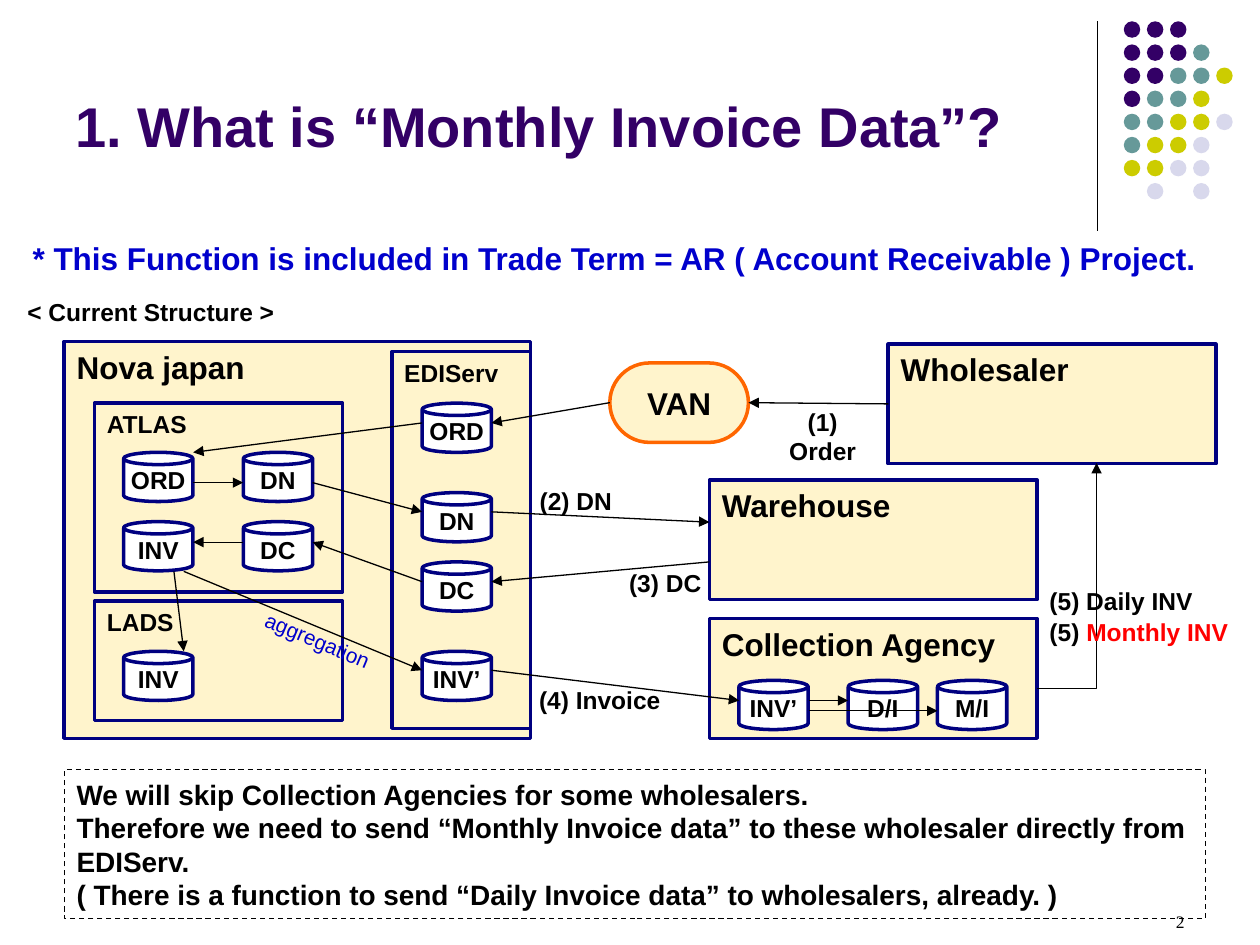
from lxml.etree import SubElement
from pptx import Presentation
from pptx.dml.color import RGBColor
from pptx.enum.dml import MSO_LINE
from pptx.enum.shapes import MSO_CONNECTOR, MSO_SHAPE
from pptx.enum.text import MSO_ANCHOR, PP_ALIGN
from pptx.oxml.ns import qn
from pptx.util import Pt

BLACK, NAVY, BLUE, RED = "000000", "000080", "0000CC", "FF0000"
PURPLE, ORANGE, AMBER, WHITE = "330066", "FF6600", "FFCC00", "FFFFFF"
LEFT, CENTER, RIGHT = PP_ALIGN.LEFT, PP_ALIGN.CENTER, PP_ALIGN.RIGHT
TOP, MIDDLE = MSO_ANCHOR.TOP, MSO_ANCHOR.MIDDLE

# Decorative dots: one letter per colour, a space for a gap
DOT_ROWS = ["PPP", "PPPT", "PPTTY", "PTTY", "TTYYL", "TYYL", "YYLL", " L L"]
DOT_COLORS = {"P": PURPLE, "T": "669999", "Y": "CCCC00", "L": "D8D8EC"}
DOT_LEFT, DOT_TOP, DOT_PITCH, DOT_SIZE = 642.2, 12.2, 13.2, 9.4

# Boxes: name, left, top, width, height, text size, fill
BOXES = [
    ("Nova japan", 36.7, 195.1, 266.4, 226.8, 18, AMBER),
    ("Warehouse", 405.4, 274.3, 187.2, 68.4, 18, AMBER),
    ("Collection Agency", 405.4, 353.5, 187.2, 68.4, 18, AMBER),
    ("Wholesaler", 507.6, 196.6, 187.2, 68.4, 18, AMBER),
    ("EDIServ", 223.9, 200.9, 79.2, 215.3, 14, None),
    ("ATLAS", 54, 230.4, 141.8, 108, 14, None),
    ("LADS", 54, 343.4, 141.8, 68.4, 14, None),
]

# Data stores: name, left, top
STORE_WIDTH, STORE_HEIGHT = 39.6, 28.1
STORES = [
    ("ORD", 70.6, 258.5), ("DN", 139, 258.5), ("INV", 70.6, 298.1),
    ("DC", 139, 298.1), ("INV", 70.6, 372.2), ("ORD", 241.2, 230.4),
    ("DN", 241.2, 281.5), ("DC", 241.2, 321.1), ("INV’", 241.2, 372.2),
    ("INV’", 422.2, 388.8), ("D/I", 484.7, 388.8), ("M/I", 535.7, 388.8),
]

# Arrows between stores and boxes: start x, start y, end x, end y
ARROWS = [
    (241.2, 241.7, 110.4, 258.5), (110.4, 275.8, 139, 275.8),
    (178.6, 275.8, 241.2, 292.5), (280.8, 292.5, 405.4, 298.4),
    (405.4, 321.1, 280.8, 332.4), (241.2, 332.4, 178.6, 309.8),
    (139, 309.8, 110.4, 309.8), (99.4, 326.5, 105, 372.2),
    (105, 326.5, 241.2, 383), (280.8, 383, 422.4, 400.3),
    (462.2, 400.3, 484.7, 400.3), (462.2, 406.2, 535.7, 406.2),
]
INVOICE_ROUTE = [(592.6, 393.6), (626.6, 393.6), (626.6, 264.6)]

# Labels: runs (text, colour), left, top, width, height, size, bold, align, rotation
LABELS = [
    ([("* This Function is included in Trade Term = AR ( Account Receivable ) Project.", BLUE)],
     11.5, 133.2, 694.8, 28.8, 18, True, LEFT, 0),
    ([("< Current Structure >", BLACK)], 8.6, 166.3, 204.5, 24.5, 14, True, LEFT, 0),
    ([("(1) Order", BLACK)], 433.4, 229, 73.4, 24.5, 14, True, CENTER, 0),
    ([("(2) DN", BLACK)], 292.3, 274.3, 73.4, 24.5, 14, True, CENTER, 0),
    ([("(3) DC", BLACK)], 343.4, 321.1, 73.4, 24.5, 14, True, CENTER, 0),
    ([("(4) Invoice", BLACK)], 297.4, 388.1, 90.7, 24.5, 14, True, CENTER, 0),
    ([("(5) Daily INV", BLACK)], 592.6, 331.2, 118.8, 24.5, 14, True, LEFT, 0),
    ([("(5)", BLACK), (" Monthly INV", RED)], 592.6, 349.2, 118.8, 24.5, 14, True, LEFT, 0),
    ([("aggregation", BLUE)], 139, 355, 85, 21.6, 12, False, CENTER, 22.8),
]
TITLE = "1. What is “Monthly Invoice Data”?"
NOTE = [
    "We will skip Collection Agencies for some wholesalers.",
    "Therefore we need to send “Monthly Invoice data” to these wholesaler directly from EDIServ.",
    "( There is a function to send “Daily Invoice data” to wholesalers, already. )",
]


def color(hex_string):
    return RGBColor.from_string(hex_string)


def format_text(shape, size, text_color=BLACK, bold=True, align=LEFT,
                anchor=TOP, wrap=True, font_name="Arial"):
    shape.text_frame.word_wrap = wrap
    shape.text_frame.vertical_anchor = anchor
    for paragraph in shape.text_frame.paragraphs:
        paragraph.alignment = align
        for run in paragraph.runs:
            run.font.name = font_name
            run.font.size = Pt(size)
            run.font.bold = bold
            run.font.color.rgb = color(text_color)


def style_shape(shape, fill=None, alpha=None, line=None, line_width=2):
    shape.shadow.inherit = False
    if fill:
        shape.fill.solid()
        shape.fill.fore_color.rgb = color(fill)
        if alpha:
            tone = shape._element.spPr.find(qn("a:solidFill")).find(qn("a:srgbClr"))
            SubElement(tone, qn("a:alpha"), val=str(alpha * 1000))
    else:
        shape.fill.background()
    if line:
        shape.line.color.rgb = color(line)
        shape.line.width = Pt(line_width)
    else:
        shape.line.fill.background()


def add_shape(slide, kind, left, top, width, height, **style):
    shape = slide.shapes.add_shape(kind, Pt(left), Pt(top), Pt(width), Pt(height))
    style_shape(shape, **style)
    return shape


def add_text(slide, left, top, width, height):
    return slide.shapes.add_textbox(Pt(left), Pt(top), Pt(width), Pt(height))


def add_arrowhead(shape):
    SubElement(shape._element.spPr.find(qn("a:ln")), qn("a:tailEnd"), type="triangle")


def add_line(slide, *ends, arrow=True):
    connector = slide.shapes.add_connector(MSO_CONNECTOR.STRAIGHT, *map(Pt, ends))
    connector.line.color.rgb = color(BLACK)
    connector.line.width = Pt(0.75)
    SubElement(connector._element.spPr, qn("a:effectLst"))
    if arrow:
        add_arrowhead(connector)
    return connector


def main():
    presentation = Presentation()
    presentation.slide_width, presentation.slide_height = Pt(720), Pt(540)
    slide = presentation.slides.add_slide(presentation.slide_layouts[6])

    # Corner decoration
    add_line(slide, 627.1, 12.2, 627.1, 131.8, arrow=False)
    for row, letters in enumerate(DOT_ROWS):
        for column, letter in enumerate(letters):
            if letter in DOT_COLORS:
                add_shape(slide, MSO_SHAPE.OVAL, DOT_LEFT + column * DOT_PITCH,
                          DOT_TOP + row * DOT_PITCH, DOT_SIZE, DOT_SIZE,
                          fill=DOT_COLORS[letter])

    # Title
    title = add_text(slide, 36, 31.7, 594, 79.9)
    title.text_frame.text = TITLE
    format_text(title, 32, PURPLE, anchor=MIDDLE)

    # System boxes
    boxes = {}
    for name, left, top, width, height, size, fill in BOXES:
        box = add_shape(slide, MSO_SHAPE.RECTANGLE, left, top, width, height,
                        fill=fill, alpha=20, line=NAVY)
        box.text_frame.text = name
        format_text(box, size)
        boxes[name] = box
    van = add_shape(slide, MSO_SHAPE.ROUNDED_RECTANGLE, 348.5, 207.4, 79.2, 45.4,
                    fill=AMBER, alpha=20, line=ORANGE)
    van.adjustments[0] = 0.5
    van.text_frame.text = "VAN"
    format_text(van, 18, align=CENTER, anchor=MIDDLE, wrap=False)

    # Data stores
    for name, left, top in STORES:
        store = add_shape(slide, MSO_SHAPE.CAN, left, top, STORE_WIDTH, STORE_HEIGHT,
                          fill=WHITE, line=NAVY)
        store.text_frame.text = name
        format_text(store, 14, align=CENTER, anchor=MIDDLE, wrap=False)

    # Arrows
    for arrow in ARROWS:
        add_line(slide, *arrow)
    order = add_line(slide, 507.6, 230.4, 427.7, 230.4)
    order.begin_connect(boxes["Wholesaler"], 1)
    order.end_connect(van, 3)
    add_line(slide, 348.5, 230.4, 280.8, 241.7).begin_connect(van, 1)
    start, *corners = [(Pt(x), Pt(y)) for x, y in INVOICE_ROUTE]
    builder = slide.shapes.build_freeform(*start)
    builder.add_line_segments(corners, close=False)
    route = builder.convert_to_shape()
    style_shape(route, line=BLACK, line_width=0.75)
    add_arrowhead(route)

    # Labels
    for runs, left, top, width, height, size, bold, align, rotation in LABELS:
        label = add_text(slide, left, top, width, height)
        label.rotation = rotation
        paragraph = label.text_frame.paragraphs[0]
        for text, _ in runs:
            paragraph.add_run().text = text
        format_text(label, size, bold=bold, align=align)
        for run, (_, text_color) in zip(paragraph.runs, runs):
            run.font.color.rgb = color(text_color)

    # Note and slide number
    note = add_shape(slide, MSO_SHAPE.RECTANGLE, 36.7, 439.9, 652.3, 85,
                     line=BLACK, line_width=0.75)
    note.line.dash_style = MSO_LINE.DASH
    note.text_frame.text = "\n".join(NOTE)
    format_text(note, 16, anchor=MIDDLE)
    number = add_text(slide, 516.2, 517, 167.8, 20.2)
    number.text_frame.text = "2"
    format_text(number, 10, bold=False, align=RIGHT, font_name="Times New Roman")
    presentation.save("out.pptx")


if __name__ == "__main__":
    main()
